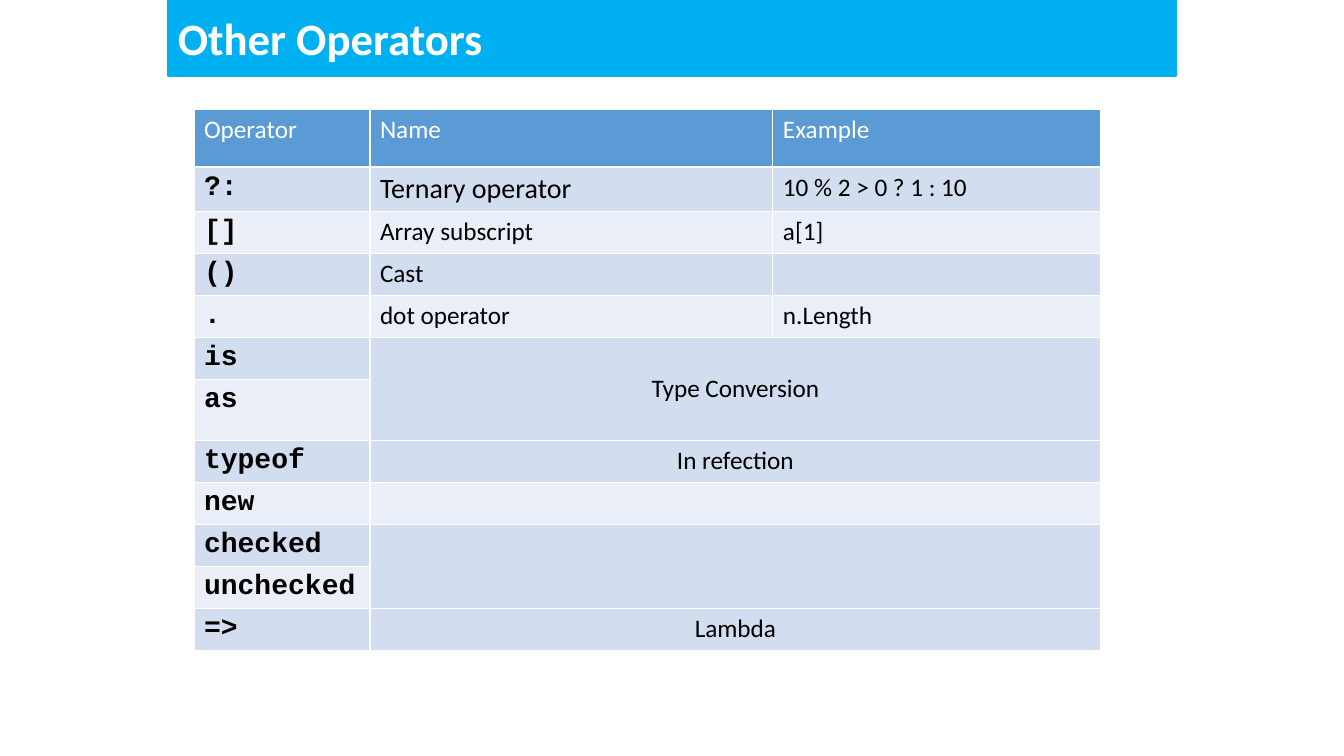
"""Build the slide that lists the other operators in a table."""
from pptx import Presentation, util as u
from pptx.dml.color import RGBColor
from pptx.enum import shapes, text

PX = 914400 / 100.8
HUE = {"bar": "00B0F0", "head": "5B9BD5", "odd": "D2DEEF", "even": "EAEFF7",
       "white": "FFFFFF", "black": "000000"}
ALIGN = text.PP_ALIGN


def px(*nums):
    return [u.Emu(round(n * PX)) for n in nums]


def write(frame, words, size=18, font="Calibri", hue="black", bold=False, align=ALIGN.LEFT):
    para = frame.paragraphs[0]
    para.alignment = align
    run = para.add_run()
    run.text = words
    run.font.size = u.Pt(size)
    run.font.name = font
    run.font.bold = bold
    run.font.color.rgb = RGBColor.from_string(HUE[hue])


deck = Presentation()
deck.slide_width, deck.slide_height = px(1344, 756)
slide = deck.slides.add_slide(deck.slide_layouts[6])

bar = slide.shapes.add_shape(shapes.MSO_SHAPE.RECTANGLE, *px(168, 0, 1008, 76))
bar.shadow.inherit = False
bar.fill.solid()
bar.fill.fore_color.rgb = RGBColor.from_string(HUE["bar"])
bar.line.color.rgb = RGBColor.from_string(HUE["bar"])
bar.line.width = u.Pt(1)
bar.text_frame.vertical_anchor = text.MSO_ANCHOR.MIDDLE
write(bar.text_frame, "Other Operators", size=32, hue="white", bold=True)

rows = [
    ("Operator", "Name", "Example"),
    ("?:", "Ternary operator", "10 % 2 > 0 ? 1 : 10"),
    ("[]", "Array subscript", "a[1]"),
    ("()", "Cast", ""),
    (".", "dot operator", "n.Length"),
    ("is", "Type Conversion"),
    ("as",),
    ("typeof", "In refection"),
    ("new",),
    ("checked",),
    ("unchecked",),
    ("=>", "Lambda"),
]
wides = [176, 403, 328]
highs = [58, 44, 42, 42, 42, 41, 61] + [42] * 5
spans = [(5, 6), (7, 7), (8, 8), (9, 10), (11, 11)]

grid = slide.shapes.add_table(len(rows), len(wides),
                              *px(194, 109, sum(wides), sum(highs))).table
for col, wide in zip(grid.columns, px(*wides)):
    col.width = wide
for row, high in zip(grid.rows, px(*highs)):
    row.height = high
for top, end in spans:
    grid.cell(top, 1).merge(grid.cell(end, 2))

for r, words in enumerate(rows):
    band = "head" if r == 0 else "odd" if r % 2 else "even"
    for c in range(len(wides)):
        cell = grid.cell(r, c)
        cell.fill.solid()
        cell.fill.fore_color.rgb = RGBColor.from_string(HUE[band])
    for c, word in enumerate(words):
        if not word:
            continue
        form = {}
        if r == 0:
            form = {"hue": "white"}
        elif c == 0:
            form = {"size": 20, "font": "Courier New", "bold": True}
        elif r == 1 and c == 1:
            form = {"size": 20}
        elif r > 4:
            form = {"align": ALIGN.CENTER}
        write(grid.cell(r, c).text_frame, word, **form)

grid.cell(5, 1).vertical_anchor = text.MSO_ANCHOR.MIDDLE
deck.save("out.pptx")
